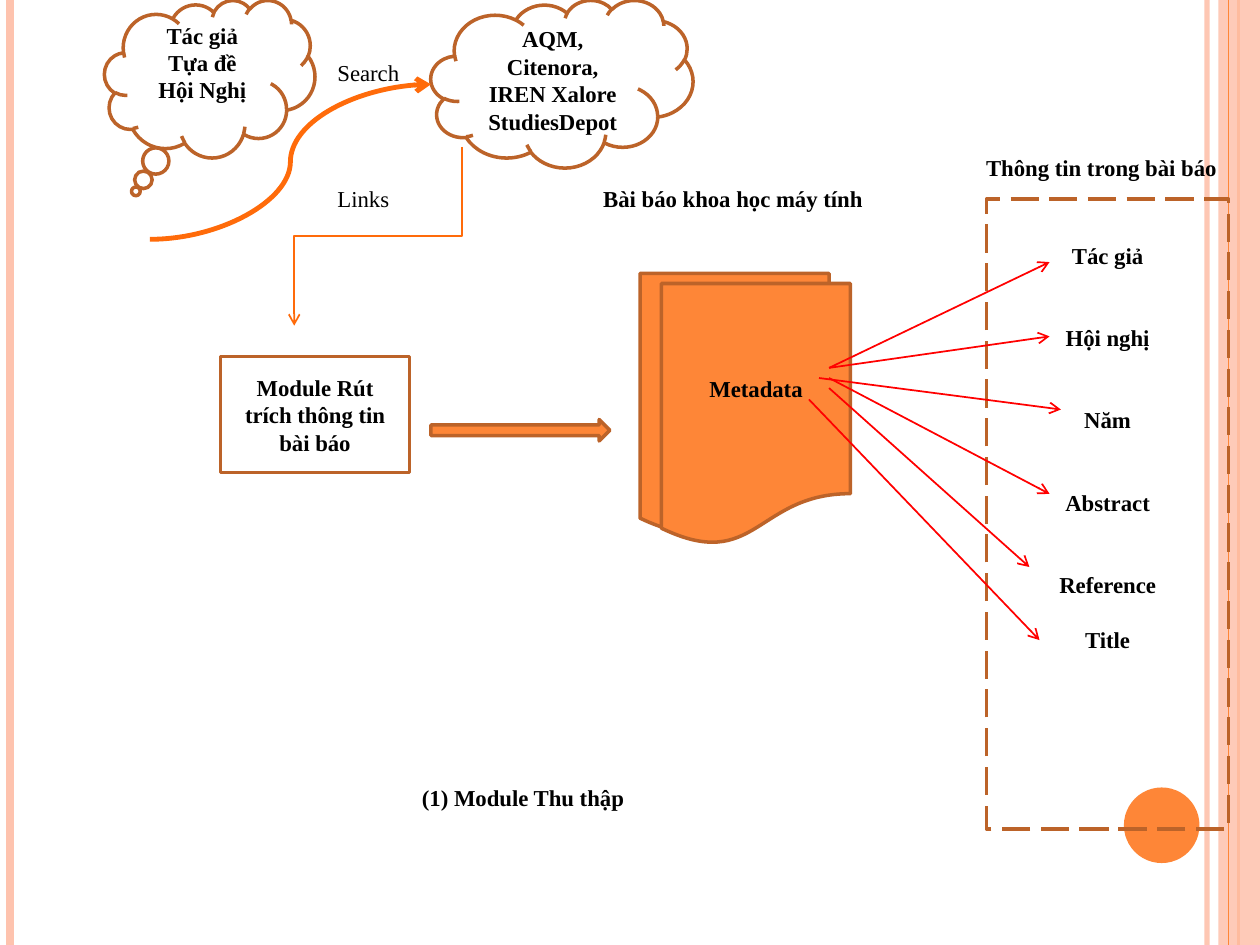
import pptx
import pptx.util
import pptx.dml.color
import pptx.enum.dml
import pptx.enum.shapes
import pptx.enum.text
import pptx.oxml.ns
from lxml import etree

Inches, Pt = pptx.util.Inches, pptx.util.Pt
SHAPE = pptx.enum.shapes.MSO_SHAPE
LINK = pptx.enum.shapes.MSO_CONNECTOR
ALIGN = pptx.enum.text.PP_ALIGN
ANCHOR = pptx.enum.text.MSO_ANCHOR
qn = pptx.oxml.ns.qn

COLORS = {"pale": "FEC3AE", "orange": "FE8637", "brown": "BC6329",
          "flow": "FF6B0A", "red": "FF0000", "text": "000000"}
FONT = {"name": "Times New Roman", "size": Pt(13), "bold": True}
LINE_HEIGHT = 15.65


def rgb(name):
    return pptx.dml.color.RGBColor.from_string(COLORS[name])


def set_alpha(fill_parent, percent):
    color = next(fill_parent.iter(qn("a:srgbClr")))
    etree.SubElement(color, qn("a:alpha"), val=str(percent * 1000))


def write(tf, lines, align=ALIGN.CENTER, gaps=None, **font):
    """Fill a frame; gaps maps a paragraph index to the blank lines before it."""
    for i, text in enumerate(lines):
        p = tf.paragraphs[0] if i == 0 else tf.add_paragraph()
        p.alignment = align
        p.line_spacing = Pt(LINE_HEIGHT)
        p.space_before = Pt(LINE_HEIGHT * (gaps or {}).get(i, 0))
        r = p.add_run()
        r.text = text
        for key, value in {**FONT, **font}.items():
            setattr(r.font, key, value)
        r.font.color.rgb = rgb("text")


def add_shape(s, kind, box, fill=None, line="brown", lines=(), gaps=None, frame=None):
    sp = s.shapes.add_shape(kind, *map(Inches, box))
    sp.shadow.inherit = False
    if fill:
        sp.fill.solid()
        sp.fill.fore_color.rgb = rgb(fill)
    else:
        sp.fill.background()
    if line:
        sp.line.color.rgb = rgb(line)
        sp.line.width = Pt(2)
    else:
        sp.line.fill.background()
    tf = sp.text_frame
    for key, value in {"word_wrap": True, "vertical_anchor": ANCHOR.MIDDLE,
                       **(frame or {})}.items():
        setattr(tf, key, value)
    write(tf, lines, gaps=gaps)
    return sp


def add_label(s, box, text, wrap=False, **fmt):
    tf = s.shapes.add_textbox(*map(Inches, box)).text_frame
    tf.word_wrap = wrap
    write(tf, [text], **fmt)


def add_line(s, start, end, color, width, kind=LINK.STRAIGHT, arrow=False):
    c = s.shapes.add_connector(kind, *map(Inches, (*start, *end)))
    c.line.color.rgb = rgb(color)
    c.line.width = Pt(width)
    if arrow:
        etree.SubElement(c.line._get_or_add_ln(), qn("a:tailEnd"), type="arrow")
    etree.SubElement(c._element.spPr, qn("a:effectLst"))
    return c


def add_side_bands(s):
    translucent = add_line(s, (9.58, 0), (9.58, 7.5), "pale", 3)
    set_alpha(translucent._element.spPr, 93)
    add_line(s, (0.08, 0), (0.08, 7.5), "pale", 4.5)
    add_line(s, (9.83, 0), (9.83, 7.5), "orange", 1.5)
    band = add_shape(s, SHAPE.RECTANGLE, (9.67, 0, 0.33, 7.5), "pale", None)
    set_alpha(band._element.spPr, 87)
    add_line(s, (9.75, 0), (9.75, 7.5), "orange", 0.75)
    add_shape(s, SHAPE.OVAL, (8.92, 6.25, 0.6, 0.6), "orange", None)


def add_search(s):
    cloud = add_shape(s, SHAPE.CLOUD_CALLOUT, (0.83, 0, 1.67, 1.25),
                      lines=["Tác giả", "Tựa đề", "Hội Nghị"],
                      frame={"margin_bottom": Inches(0.25)})
    cloud.adjustments[0], cloud.adjustments[1] = -0.351, 0.715
    add_shape(s, SHAPE.CLOUD, (3.42, 0, 2.08, 1.33),
              lines=["AQM, Citenora, IREN Xalore", "StudiesDepot"])
    # A quarter turn makes the elbow leave downwards
    elbow = add_line(s, (2.29, 1.21), (3.71, 2.54), "flow", 1, LINK.ELBOW, True)
    elbow._element.spPr.find(qn("a:xfrm")).set("rot", str(90 * 60000))


def add_metadata(s):
    add_shape(s, SHAPE.FLOWCHART_DOCUMENT, (5.08, 2.17, 1.5, 2.08), "orange")
    add_label(s, (4.67, 1.42, 2.29, 0.32), "Bài báo khoa học máy tính")
    add_shape(s, SHAPE.FLOWCHART_DOCUMENT, (5.25, 2.25, 1.5, 2.08), "orange",
              lines=["Metadata"])
    add_shape(s, SHAPE.RIGHT_ARROW, (3.42, 3.33, 1.42, 0.17), "orange")
    fields = ["Tác giả", "Hội nghị", "Năm", "Abstract", "Reference", "Title"]
    panel = add_shape(s, SHAPE.RECTANGLE, (7.83, 1.58, 1.92, 5), lines=fields,
                      gaps={1: 2, 2: 2, 3: 2, 4: 2, 5: 1},
                      frame={"vertical_anchor": ANCHOR.TOP, "margin_top": Inches(0.34)})
    panel.line.dash_style = pptx.enum.dml.MSO_LINE.LONG_DASH
    for start, end in [((6.58, 2.92), (8.33, 2.08)), ((6.58, 2.92), (8.33, 2.67)),
                       ((6.5, 3), (8.42, 3.25)), ((6.58, 3), (8.33, 3.92)),
                       ((6.58, 3.08), (8.17, 4.5)), ((6.42, 3.17), (8.25, 5.08))]:
        add_line(s, start, end, "red", 1, arrow=True)


def main():
    prs = pptx.Presentation()
    prs.slide_width, prs.slide_height = Inches(10), Inches(7.5)
    s = prs.slides.add_slide(prs.slide_layouts[6])
    add_side_bands(s)
    add_label(s, (3.25, 6.17, 2.42, 0.32), "(1) Module Thu thập", True, align=ALIGN.LEFT)
    add_search(s)
    add_metadata(s)
    add_line(s, (1.19, 1.9), (3.42, 0.67), "flow", 2.75, LINK.CURVE, True)
    add_label(s, (7.71, 1.17, 2.06, 0.32), "Thông tin trong bài báo")
    add_label(s, (2.58, 1.42, 0.62, 0.32), "Links", align=ALIGN.LEFT, bold=False)
    add_label(s, (2.58, 0.42, 0.7, 0.32), "Search", align=ALIGN.LEFT, bold=False)
    add_shape(s, SHAPE.RECTANGLE, (1.75, 2.83, 1.5, 0.92),
              lines=["Module Rút trích thông tin bài báo"])
    prs.save("out.pptx")


if __name__ == "__main__":
    main()
